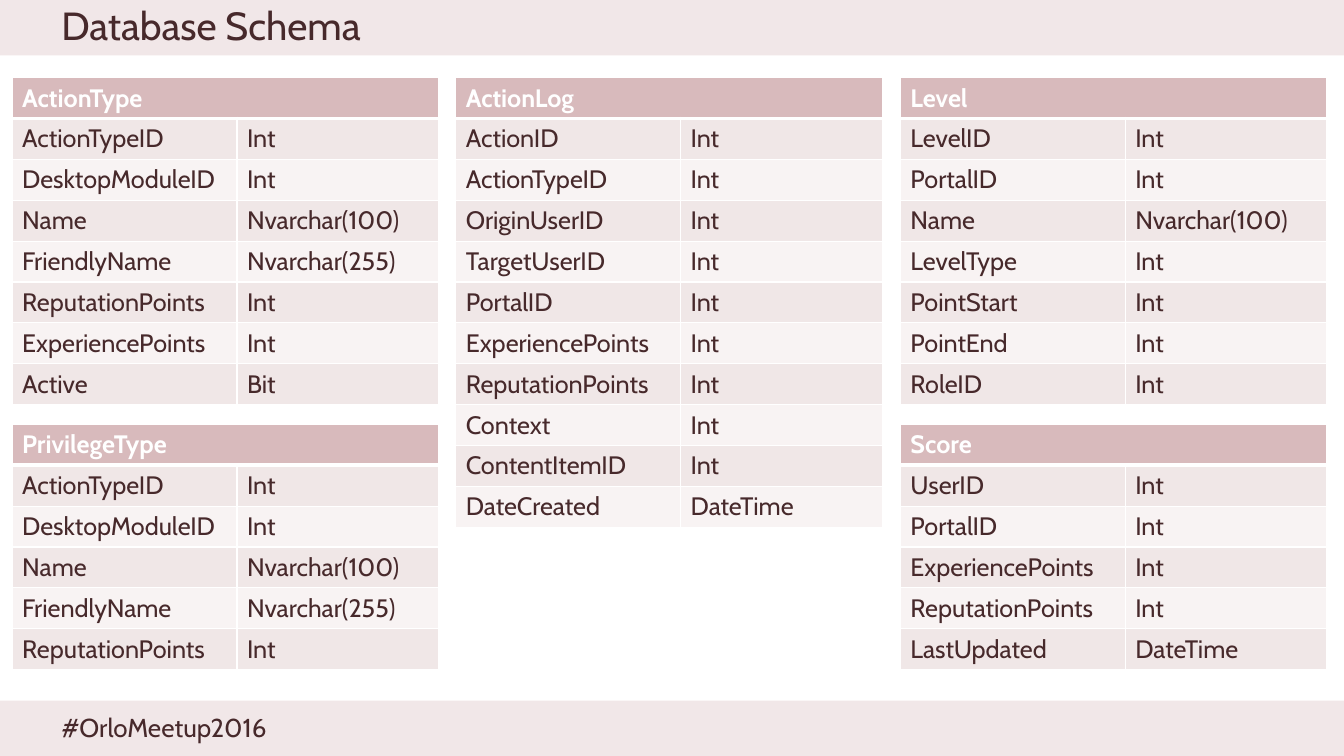
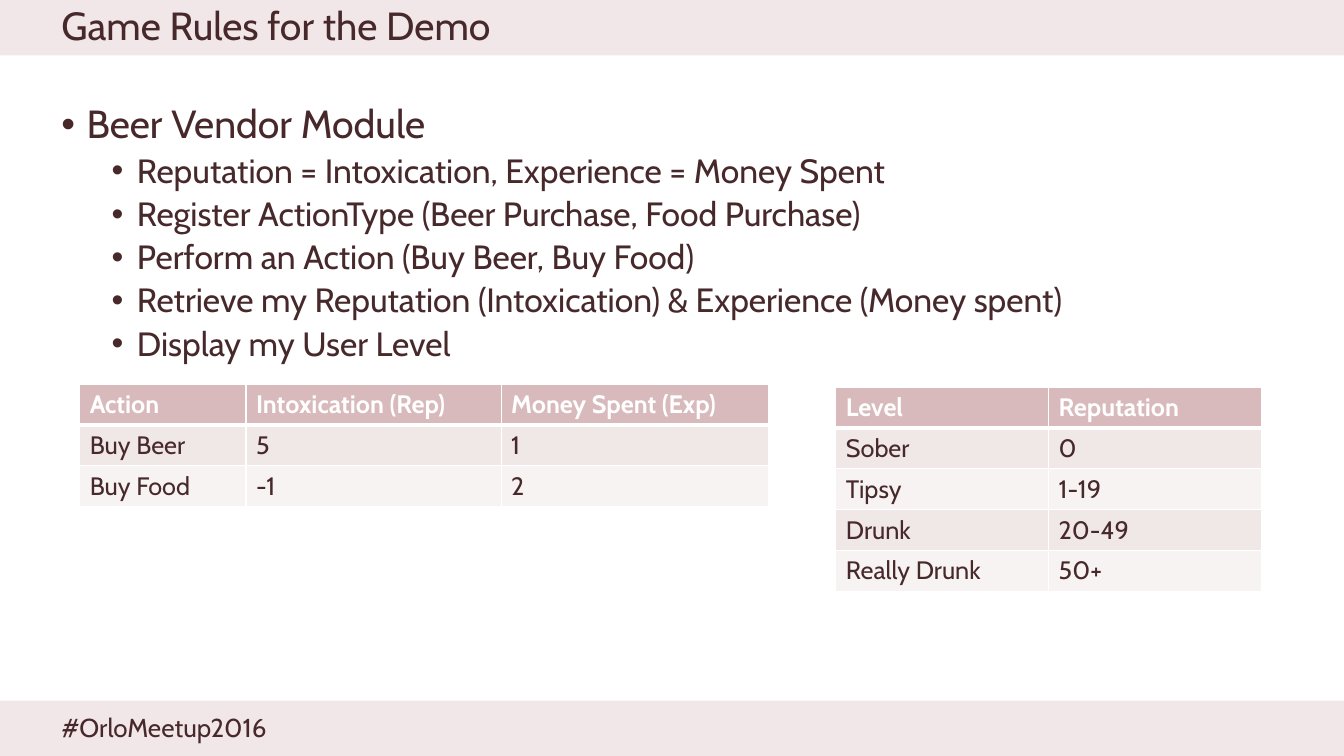
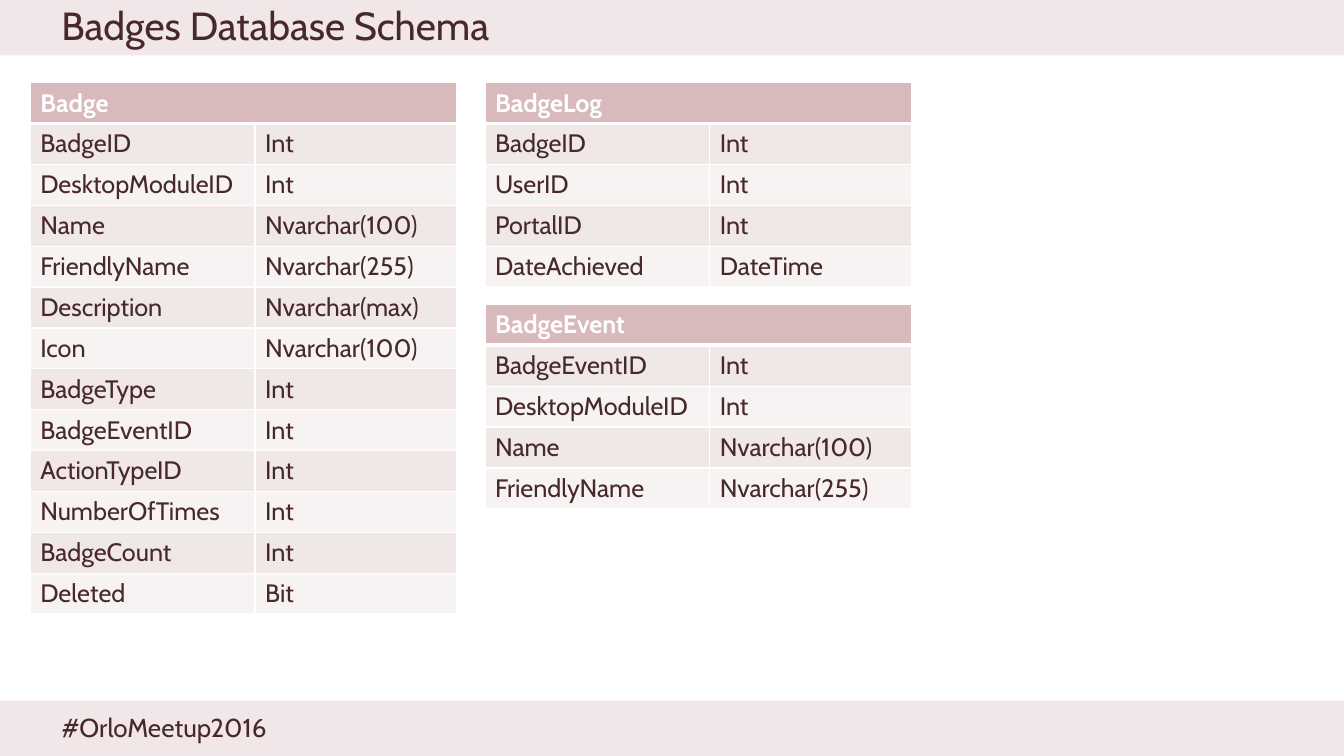
"""Build three slides on a gamification database: schema, demo rules and badges."""
from pptx import Presentation
from pptx.dml.color import RGBColor
from pptx.enum.shapes import MSO_SHAPE
from pptx.enum.text import MSO_ANCHOR
from pptx.oxml import parse_xml
from pptx.oxml.ns import nsdecls
from pptx.util import Inches, Pt

FONT = "Cabin"
INK = RGBColor(0x47, 0x29, 0x2B)
WHITE = RGBColor(0xFF, 0xFF, 0xFF)
BAND = RGBColor(0xF1, 0xE7, 0xE8)
HEADER = RGBColor(0xD8, 0xBA, 0xBC)
ROW_FILLS = (RGBColor(0xF8, 0xF3, 0xF3), RGBColor(0xF0, 0xE7, 0xE7))
ROW_HEIGHT = Inches(3.65) // 9
BAND_HEIGHT = 0.55
FIELD_COLUMNS = (2.23, 2)


def write_text(frame, text, size=18, color=INK, bold=False, line=None, before=0, bullet_indent=None):
    """Fill the first empty paragraph of the frame, or add one, with formatted text."""
    paragraph = frame.paragraphs[-1]
    if paragraph.runs:
        paragraph = frame.add_paragraph()
    paragraph.space_before = Pt(before)
    if line:
        paragraph.line_spacing = line
    if bullet_indent:
        properties = paragraph._p.get_or_add_pPr()
        properties.set("marL", str(Inches(bullet_indent)))
        properties.set("indent", str(Inches(-0.25)))
        properties.append(parse_xml(f'<a:buFont {nsdecls("a")} typeface="Arial"/>'))
        properties.append(parse_xml(f'<a:buChar {nsdecls("a")} char="•"/>'))
    run = paragraph.add_run()
    run.text = text
    run.font.name = FONT
    run.font.size = Pt(size)
    run.font.bold = bold
    run.font.color.rgb = color


def add_grid(slide, left, top, widths, rows):
    """Add a table whose header spans all columns when it has a single entry."""
    table = slide.shapes.add_table(
        len(rows), len(widths), Inches(left), Inches(top),
        Inches(sum(widths)), ROW_HEIGHT * len(rows)).table
    for column, width in zip(table.columns, widths):
        column.width = Inches(width)
    for row_index, texts in enumerate(rows):
        table.rows[row_index].height = ROW_HEIGHT
        is_header = row_index == 0
        for column_index in range(len(widths)):
            cell = table.cell(row_index, column_index)
            thick_side = {0: "B", 1: "T"}.get(row_index)
            for side in "LRTB":
                weight = Pt(3 if side == thick_side else 1)
                cell._tc.get_or_add_tcPr().append(parse_xml(
                    f'<a:ln{side} {nsdecls("a")} w="{weight}"><a:solidFill>'
                    f'<a:srgbClr val="{WHITE}"/></a:solidFill></a:ln{side}>'))
            cell.fill.solid()
            cell.fill.fore_color.rgb = HEADER if is_header else ROW_FILLS[row_index % 2]
            if column_index < len(texts):
                write_text(cell.text_frame, texts[column_index],
                           color=WHITE if is_header else INK, bold=is_header)
        if len(texts) < len(widths):
            table.cell(row_index, 0).merge(table.cell(row_index, len(widths) - 1))


ACTION_TYPE = [
    ("ActionType",), ("ActionTypeID", "Int"), ("DesktopModuleID", "Int"),
    ("Name", "Nvarchar(100)"), ("FriendlyName", "Nvarchar(255)"),
    ("ReputationPoints", "Int"), ("ExperiencePoints", "Int"), ("Active", "Bit")]
ACTION_LOG = [
    ("ActionLog",), ("ActionID", "Int"), ("ActionTypeID", "Int"), ("OriginUserID", "Int"),
    ("TargetUserID", "Int"), ("PortalID", "Int"), ("ExperiencePoints", "Int"),
    ("ReputationPoints", "Int"), ("Context", "Int"), ("ContentItemID", "Int"),
    ("DateCreated", "DateTime")]
PRIVILEGE_TYPE = [
    ("PrivilegeType",), ("ActionTypeID", "Int"), ("DesktopModuleID", "Int"),
    ("Name", "Nvarchar(100)"), ("FriendlyName", "Nvarchar(255)"), ("ReputationPoints", "Int")]
LEVEL = [
    ("Level",), ("LevelID", "Int"), ("PortalID", "Int"), ("Name", "Nvarchar(100)"),
    ("LevelType", "Int"), ("PointStart", "Int"), ("PointEnd", "Int"), ("RoleID", "Int")]
SCORE = [
    ("Score",), ("UserID", "Int"), ("PortalID", "Int"), ("ExperiencePoints", "Int"),
    ("ReputationPoints", "Int"), ("LastUpdated", "DateTime")]
ACTION_POINTS = [
    ("Action", "Intoxication (Rep)", "Money Spent (Exp)"),
    ("Buy Beer", "5", "1"), ("Buy Food", "-1", "2")]
LEVEL_RANGES = [
    ("Level", "Reputation"), ("Sober", "0"), ("Tipsy", "1-19"),
    ("Drunk", "20-49"), ("Really Drunk", "50+")]
BADGE = [
    ("Badge",), ("BadgeID", "Int"), ("DesktopModuleID", "Int"), ("Name", "Nvarchar(100)"),
    ("FriendlyName", "Nvarchar(255)"), ("Description", "Nvarchar(max)"),
    ("Icon", "Nvarchar(100)"), ("BadgeType", "Int"), ("BadgeEventID", "Int"),
    ("ActionTypeID", "Int"), ("NumberOfTimes", "Int"), ("BadgeCount", "Int"),
    ("Deleted", "Bit")]
BADGE_LOG = [
    ("BadgeLog",), ("BadgeID", "Int"), ("UserID", "Int"), ("PortalID", "Int"),
    ("DateAchieved", "DateTime")]
BADGE_EVENT = [
    ("BadgeEvent",), ("BadgeEventID", "Int"), ("DesktopModuleID", "Int"),
    ("Name", "Nvarchar(100)"), ("FriendlyName", "Nvarchar(255)")]
RULES = [
    "Reputation = Intoxication, Experience = Money Spent",
    "Register ActionType (Beer Purchase, Food Purchase)",
    "Perform an Action (Buy Beer, Buy Food)",
    "Retrieve my Reputation (Intoxication) & Experience (Money spent)",
    "Display my User Level"]

SLIDES = [
    ("Database Schema", [
        (0.12, 0.77, FIELD_COLUMNS, ACTION_TYPE),
        (4.52, 0.77, FIELD_COLUMNS, ACTION_LOG),
        (0.12, 4.21, FIELD_COLUMNS, PRIVILEGE_TYPE),
        (8.93, 0.77, FIELD_COLUMNS, LEVEL),
        (8.93, 4.21, FIELD_COLUMNS, SCORE)]),
    ("Game Rules for the Demo", [
        (0.79, 3.81, (1.65, 2.53, 2.65), ACTION_POINTS),
        (8.29, 3.84, (2.11, 2.11), LEVEL_RANGES)]),
    ("Badges Database Schema", [
        (0.3, 0.82, FIELD_COLUMNS, BADGE),
        (4.81, 0.82, FIELD_COLUMNS, BADGE_LOG),
        (4.81, 3.02, FIELD_COLUMNS, BADGE_EVENT)])]

presentation = Presentation()
presentation.slide_width = Inches(13.33)
presentation.slide_height = Inches(7.5)

for title, tables in SLIDES:
    slide = presentation.slides.add_slide(presentation.slide_layouts[6])
    for band_top in (7.5 - BAND_HEIGHT, 0):
        band = slide.shapes.add_shape(
            MSO_SHAPE.RECTANGLE, 0, Inches(band_top),
            presentation.slide_width, Inches(BAND_HEIGHT))
        band.shadow.inherit = False
        band.fill.solid()
        band.fill.fore_color.rgb = BAND
        band.line.fill.background()
    for text, top, width, height, size, line in (
            ("#OrloMeetup2016", 7.07, 2.97, 0.35, 18.5, 0.8),
            (title, 0, 12.82, BAND_HEIGHT, 28, 0.9)):
        frame = slide.shapes.add_textbox(
            Inches(0.51), Inches(top), Inches(width), Inches(height)).text_frame
        frame.word_wrap = True
        frame.vertical_anchor = MSO_ANCHOR.MIDDLE
        write_text(frame, text, size=size, line=line)
    for left, top, widths, rows in tables:
        add_grid(slide, left, top, widths, rows)

rules_frame = presentation.slides[1].shapes.add_textbox(
    Inches(0.51), Inches(0.99), Inches(11.78), Inches(5.65)).text_frame
rules_frame.word_wrap = True
write_text(rules_frame, "Beer Vendor Module", size=28, line=0.9, before=10, bullet_indent=0.25)
for rule in RULES:
    write_text(rules_frame, rule, size=24, line=0.9, before=5, bullet_indent=0.75)

presentation.save("out.pptx")
